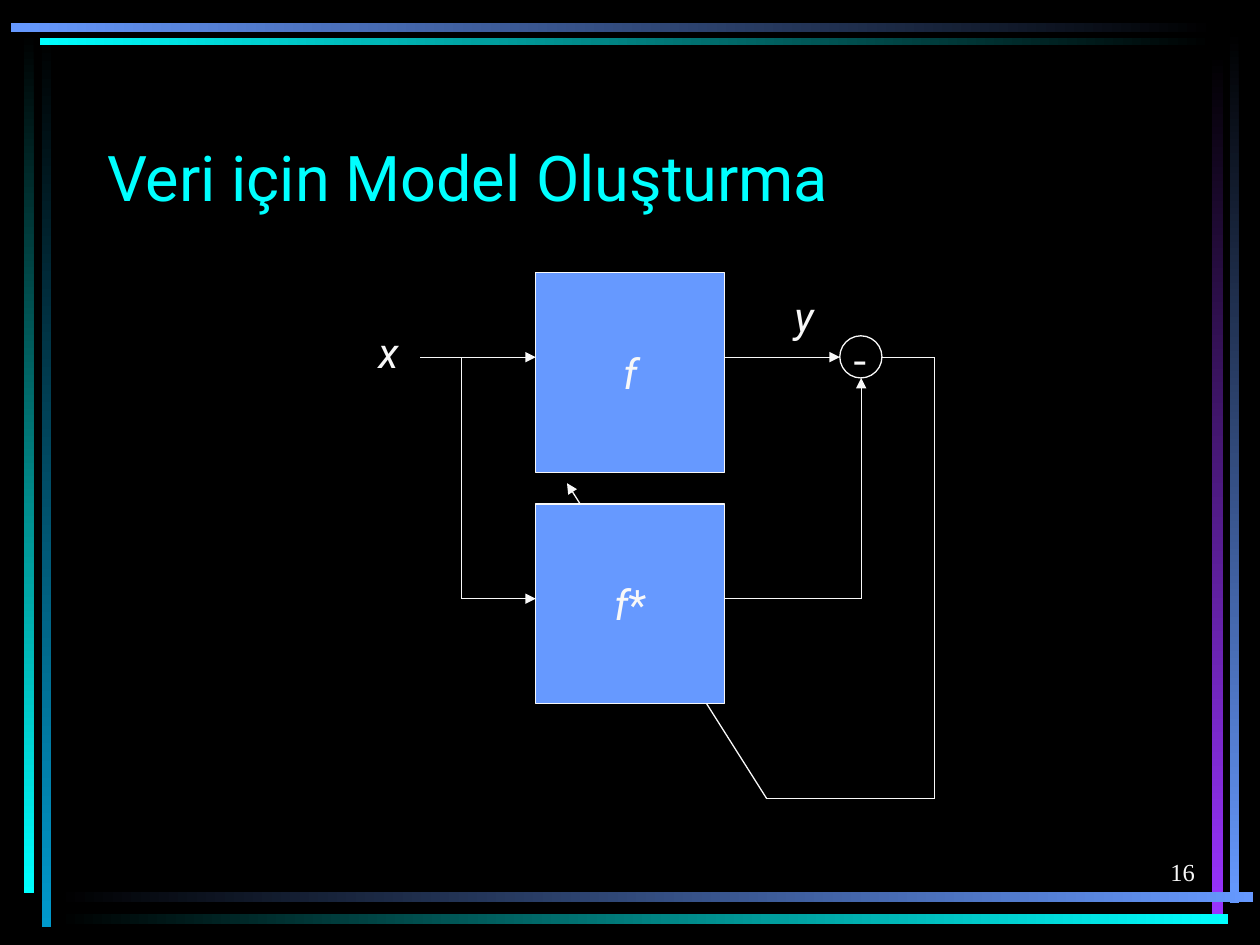
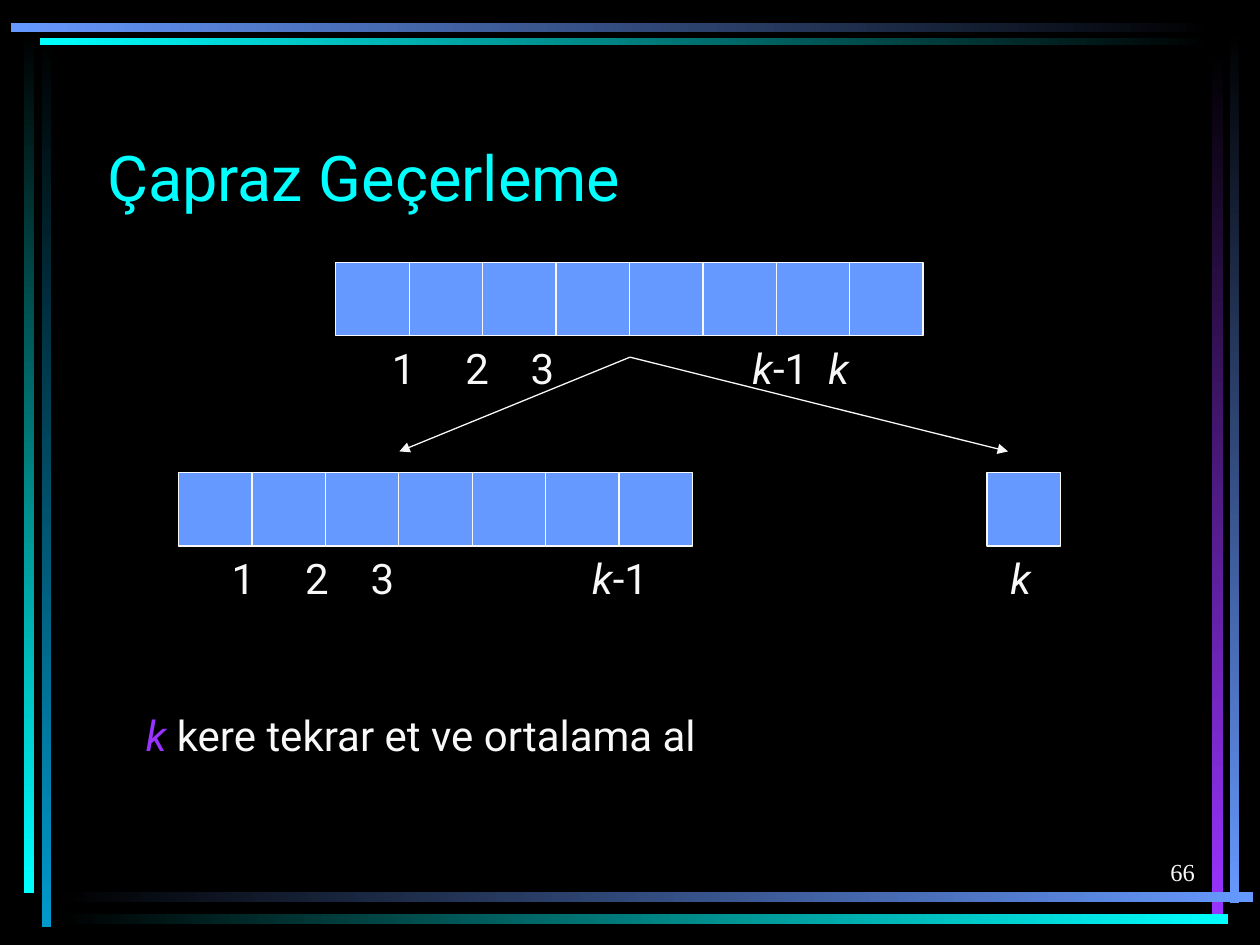
from itertools import pairwise
from lxml import etree
from pptx import Presentation
from pptx import util as u
from pptx.dml import color
from pptx.enum import shapes, text
from pptx.oxml import ns

Cm = u.Cm
rgb = color.RGBColor.from_string
RECT = shapes.MSO_SHAPE.RECTANGLE
OVAL = shapes.MSO_SHAPE.OVAL
LEFT, CENTER, RIGHT = text.PP_ALIGN.LEFT, text.PP_ALIGN.CENTER, text.PP_ALIGN.RIGHT
TOP, MIDDLE, BOTTOM = text.MSO_ANCHOR.TOP, text.MSO_ANCHOR.MIDDLE, text.MSO_ANCHOR.BOTTOM
BLACK, WHITE, BLUE, CYAN, PURPLE = "000000", "F8F8F8", "6699FF", "00FFFF", "9933FF"


def box(s, x, y, w, h, runs=(), kind=None, fill=BLUE, size=24, font="Roboto",
        align=CENTER, anchor=MIDDLE, tabs=()):
    at = Cm(x), Cm(y), Cm(w), Cm(h)
    if kind is None:
        sp = s.shapes.add_textbox(*at)
    else:
        sp = s.shapes.add_shape(kind, *at)
        sp.shadow.inherit = False
        sp.line.color.rgb = rgb(WHITE)
        sp.line.width = u.Pt(0.75)
        if fill:
            sp.fill.solid()
            sp.fill.fore_color.rgb = rgb(fill)
        else:
            sp.fill.background()
    tf = sp.text_frame
    tf.word_wrap = w > 1
    tf.vertical_anchor = anchor
    p = tf.paragraphs[0]
    p.alignment = align
    if tabs:
        stops = etree.SubElement(p._p.get_or_add_pPr(), ns.qn("a:tabLst"))
        for pos in tabs:
            etree.SubElement(stops, ns.qn("a:tab"), pos=str(Cm(pos)), algn="l")
    for words, italic, colour in runs:
        r = p.add_run()
        r.text = words
        r.font.name = font
        r.font.size = u.Pt(size)
        r.font.italic = italic
        r.font.color.rgb = rgb(colour)


def wire(s, *points):
    for (x1, y1), (x2, y2) in pairwise(points):
        c = s.shapes.add_connector(shapes.MSO_CONNECTOR.STRAIGHT, Cm(x1), Cm(y1), Cm(x2), Cm(y2))
        c.line.color.rgb = rgb(WHITE)
        c.line.width = u.Pt(0.75)
        etree.SubElement(c._element.spPr, ns.qn("a:effectLst"))
    etree.SubElement(c.line._get_or_add_ln(), ns.qn("a:tailEnd"), type="triangle")


prs = Presentation()
prs.slide_width, prs.slide_height = Cm(25.4), Cm(19.05)
master = prs.slide_master
master.background.fill.solid()
master.background.fill.fore_color.rgb = rgb(BLACK)

slides = []
for title, number in [("Veri için Model Oluşturma", "16"), ("Çapraz Geçerleme", "66")]:
    s = prs.slides.add_slide(prs.slide_layouts[6])
    box(s, 1.91, 1.69, 21.59, 2.75, [(title, False, CYAN)], size=36, align=LEFT, anchor=BOTTOM)
    box(s, 19.05, 16.72, 5.29, 1.27, [(number, False, WHITE)], size=14,
        font="Times New Roman", align=RIGHT, anchor=BOTTOM)
    slides.append(s)
model, folds = slides

bars = [
    (0.84, 0.71, 0.2, 17.98, BLACK, "0099CC"),
    (0.48, 0.64, 0.2, 17.37, BLACK, CYAN),
    (24.79, 0.61, 0.18, 17.6, BLACK, BLUE),
    (24.43, 1.07, 0.23, 17.35, BLACK, PURPLE),
    (1.14, 17.98, 24.13, 0.2, BLACK, BLUE),
    (1.14, 18.42, 23.62, 0.2, BLACK, CYAN),
    (0.81, 0.76, 23.67, 0.15, CYAN, BLACK),
    (0.22, 0.47, 24.28, 0.18, BLUE, BLACK),
]
for i, (x, y, w, h, start, end) in enumerate(bars):
    sp = model.shapes.add_shape(RECT, Cm(x), Cm(y), Cm(w), Cm(h))
    sp.shadow.inherit = False
    sp.line.fill.background()
    sp.fill.gradient()
    sp.fill.gradient_angle = 270 if h > w else 0
    for stop, colour in zip(sp.fill.gradient_stops, (start, end)):
        stop.color.rgb = rgb(colour)
    sp.element.nvSpPr.cNvPr.set("id", str(100 + i))
    master.shapes.element.append(sp.element)

f = ("f", True, WHITE)
box(model, 10.8, 5.5, 3.81, 4.02, [f], RECT)
box(model, 7.2, 6.45, 1.27, 1.27, [("x", True, WHITE)])
box(model, 15.45, 5.72, 1.52, 1.27, [("y", True, WHITE)])
box(model, 16.93, 6.77, 0.85, 0.85, kind=OVAL, fill=None)
wire(model, (8.47, 7.2), (10.8, 7.2))
wire(model, (14.61, 7.2), (16.93, 7.2))
wire(model, (9.31, 7.2), (9.31, 12.07), (10.8, 12.07))
wire(model, (14.61, 12.07), (17.36, 12.07), (17.36, 7.62))
wire(model, (17.78, 7.2), (18.84, 7.2), (18.84, 16.09), (15.45, 16.09), (11.43, 9.74))
box(model, 10.8, 10.16, 3.81, 4.02, [f, ("*", False, WHITE)], RECT)
box(model, 16.94, 6.56, 0.79, 1.27, [("-", False, WHITE)], font="Times New Roman")

cell = 1.48
k = ("k", True, WHITE)
train = [("1\t2\t3\t", False, WHITE), k, ("-1", False, WHITE)]
rows = [
    (6.77, 5.29, 8, 7.65, 10.16, train + [("\t", False, WHITE), k]),
    (3.6, 9.53, 7, 4.42, 9.3, train),
    (19.9, 9.53, 1, 20.12, 0.91, [k]),
]
for x, y, count, label_x, label_w, runs in rows:
    for i in range(count):
        box(folds, x + i * cell, y, cell, cell, kind=RECT)
    tabs = (1.48, 2.8, 7.27, 8.8) if count > 1 else ()
    box(folds, label_x, y + cell, label_w, 1.27, runs, align=LEFT, anchor=TOP, tabs=tabs)
for x in (8.05, 20.32):
    wire(folds, (12.7, 7.2), (x, 9.1))
box(folds, 2.69, 14.18, 12.4, 1.27,
    [("k", True, PURPLE), (" kere tekrar et ve ortalama al", False, WHITE)],
    align=LEFT, anchor=TOP)

prs.save("out.pptx")
